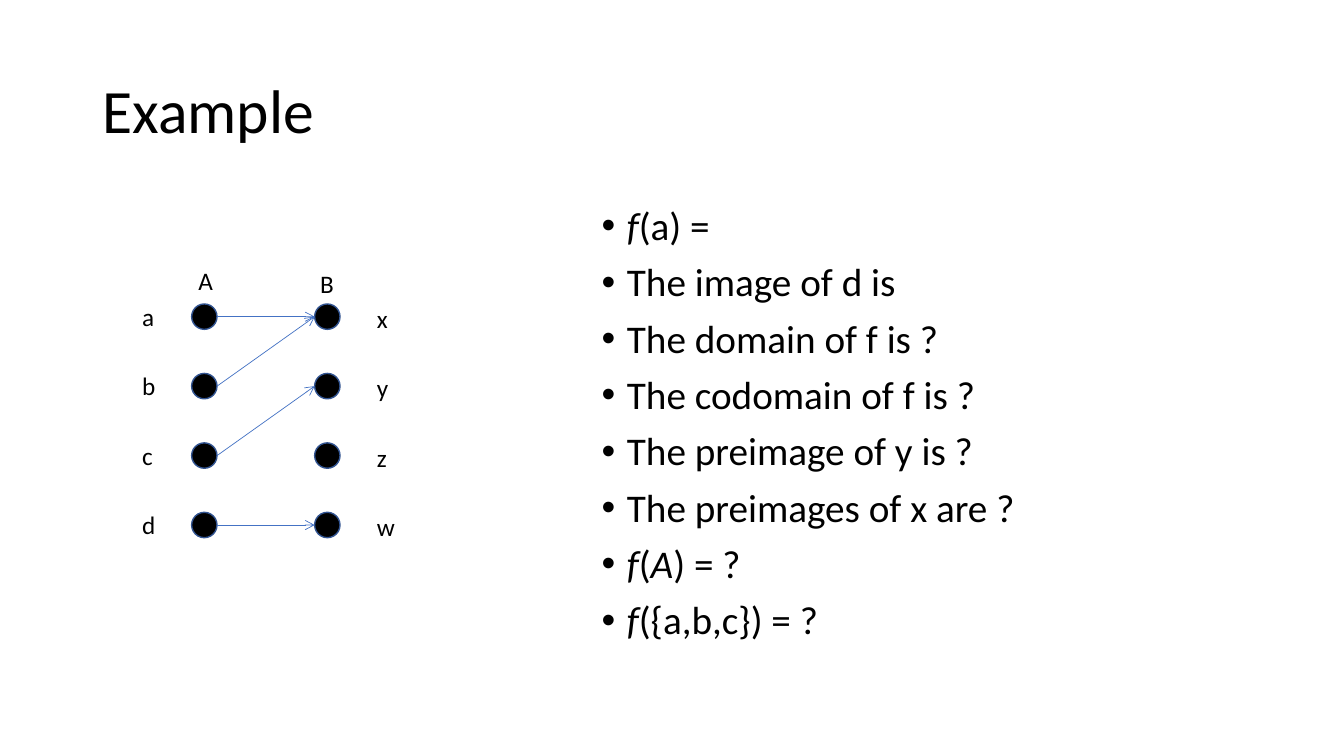
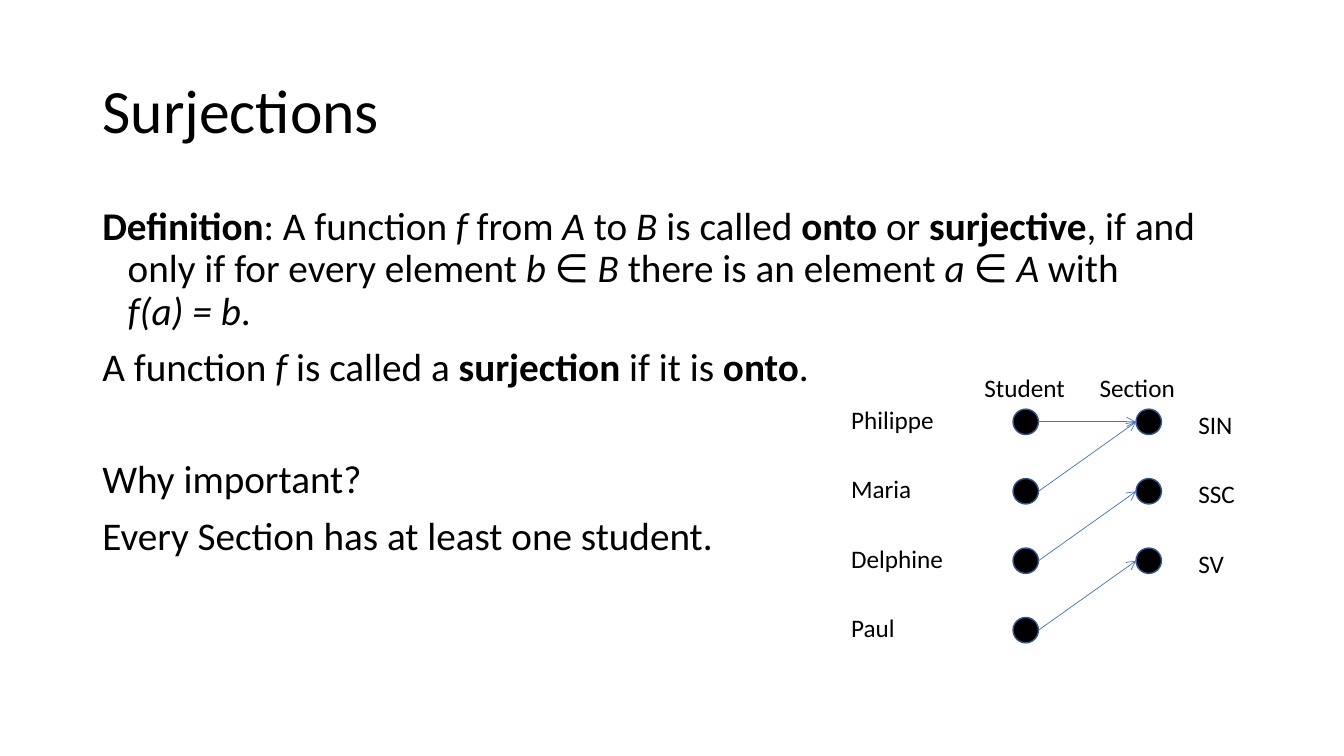
from lxml import etree
from pptx import Presentation
from pptx.dml.color import RGBColor
from pptx.enum.shapes import MSO_CONNECTOR as CONNECTOR, MSO_SHAPE as SHAPE
from pptx.enum.text import MSO_ANCHOR as ANCHOR, MSO_AUTO_SIZE as AUTO_SIZE, PP_ALIGN as ALIGN
from pptx.oxml.ns import qn
from pptx.util import Cm, Pt

BLACK = RGBColor(0x00, 0x00, 0x00)
DOT_EDGE = RGBColor(0x32, 0x54, 0x91)
ARROW_BLUE = RGBColor(0x44, 0x72, 0xC4)
FONT = "Calibri"

LEFT_MARGIN = 2.33
CONTENT_WIDTH = 29.21
INDENT = Cm(0.64)

DOT_SIZE = 0.64
ROW_STEP = 1.75
COLUMN_STEP = 3.1
LABEL_HEIGHT = 1.02
IMAGE_LABEL_WIDTH = 2.3

# Body entries are (space before in points, text): *bold*, _italic_.
# Arrows are (row of the argument, row of its image).
SLIDES = [
    {
        "title": "Example",
        "body_left": 14.91,
        "bullet": "•",
        "body": [
            (0, "_f_(a) ="),
            (10, "The image of d is"),
            (10, "The domain of f is ?"),
            (10, "The codomain of f is ?"),
            (10, "The preimage of y is ?"),
            (10, "The preimages of x are ?"),
            (10, "_f_(_A_) = ?"),
            (10, "_f_({a,b,c}) = ?"),
        ],
        "dots_left": 4.83,
        "dots_top": 7.66,
        "headers": [("A", 4.75, 6.55, 0.89), ("B", 7.82, 6.63, 0.86)],
        "arguments": ["a", "b", "c", "d"],
        "argument_left": 3.33,
        "argument_lift": 0.2,
        "images": ["x", "y", "z", "w"],
        "image_left": 9.25,
        "image_lift": 0.15,
        "arrows": [(0, 0), (1, 0), (2, 1), (3, 3)],
    },
    {
        "title": "Surjections",
        "body_left": LEFT_MARGIN,
        "bullet": None,
        "body": [
            (0, "*Definition*: A function _f_ from _A_ to _B_ is called *onto* or "
                "*surjective*, if and only if for every element _b_ ∈ _B _there is "
                "an element _a_ ∈ _A_ with \n_f(a) = b_."),
            (10, "A function _f _is called a *surjection* if it is *onto*."),
            (50, "Why important?"),
            (10, "Every Section has at least one student."),
        ],
        "dots_left": 25.53,
        "dots_top": 10.31,
        "headers": [("Student", 24.56, 9.25, 2.57), ("Section", 27.46, 9.25, 2.44)],
        "arguments": ["Philippe", "Maria", "Delphine", "Paul"],
        "argument_left": 21.2,
        "argument_lift": 0.25,
        "images": ["SIN", "SSC", "SV"],
        "image_left": 29.95,
        "image_lift": 0.13,
        "arrows": [(0, 0), (1, 0), (2, 1), (3, 2)],
    },
]


def add_spans(para, text, size):
    """Add text to a paragraph, with *bold*, _italic_ and line breaks."""
    for bold_index, bold_part in enumerate(text.split("*")):
        for italic_index, italic_part in enumerate(bold_part.split("_")):
            for line_index, line in enumerate(italic_part.split("\n")):
                if line_index:
                    para.add_line_break()
                if not line:
                    continue
                span = para.add_run()
                span.text = line
                font_format = {
                    "name": FONT,
                    "size": Pt(size),
                    "bold": bold_index % 2 == 1,
                    "italic": italic_index % 2 == 1,
                }
                for name, value in font_format.items():
                    setattr(span.font, name, value)
                span.font.color.rgb = BLACK


def add_label(page, text, left, top, width, wrap=True):
    box = page.shapes.add_textbox(Cm(left), Cm(top), Cm(width), Cm(LABEL_HEIGHT))
    box.text_frame.word_wrap = wrap
    add_spans(box.text_frame.paragraphs[0], text, 18)


deck = Presentation()
deck.slide_width = Cm(33.87)
deck.slide_height = Cm(19.05)
title_only = deck.slide_layouts[5]

for content in SLIDES:
    page = deck.slides.add_slide(title_only)

    # Title
    title = page.shapes.title
    title_place = {
        "left": Cm(LEFT_MARGIN),
        "top": Cm(1.01),
        "width": Cm(CONTENT_WIDTH),
        "height": Cm(3.68),
    }
    for name, value in title_place.items():
        setattr(title, name, value)
    title.text_frame.auto_size = AUTO_SIZE.NONE
    title.text_frame.vertical_anchor = ANCHOR.MIDDLE
    para = title.text_frame.paragraphs[0]
    para.alignment = ALIGN.LEFT
    para.line_spacing = 0.9
    add_spans(para, content["title"], 44)

    # Body text
    body_left = content["body_left"]
    body_width = LEFT_MARGIN + CONTENT_WIDTH - body_left
    box = page.shapes.add_textbox(Cm(body_left), Cm(5.08), Cm(body_width), Cm(12.09))
    frame = box.text_frame
    frame.word_wrap = True
    for index, (space_before, text) in enumerate(content["body"]):
        para = frame.add_paragraph() if index else frame.paragraphs[0]
        para.line_spacing = 0.9
        para.space_before = Pt(space_before)
        properties = para._p.get_or_add_pPr()
        properties.set("marL", str(INDENT))
        properties.set("indent", str(-INDENT))
        if content["bullet"]:
            etree.SubElement(properties, qn("a:buFont"), typeface="Arial")
            etree.SubElement(properties, qn("a:buChar"), char=content["bullet"])
        add_spans(para, text, 28)

    # Dots and labels of the two sets
    dots_left = content["dots_left"]
    dots_top = content["dots_top"]
    argument_width = dots_left - content["argument_left"]
    columns = [
        (content["arguments"], content["argument_left"], content["argument_lift"], argument_width),
        (content["images"], content["image_left"], content["image_lift"], IMAGE_LABEL_WIDTH),
    ]
    for column, (names, label_left, lift, label_width) in enumerate(columns):
        dot_left = dots_left + column * COLUMN_STEP
        for row, name in enumerate(names):
            dot_top = dots_top + row * ROW_STEP
            dot = page.shapes.add_shape(
                SHAPE.OVAL, Cm(dot_left), Cm(dot_top), Cm(DOT_SIZE), Cm(DOT_SIZE))
            dot.shadow.inherit = False
            dot.fill.solid()
            dot.fill.fore_color.rgb = BLACK
            dot.line.color.rgb = DOT_EDGE
            dot.line.width = Pt(1)
            add_label(page, name, label_left, dot_top - lift, label_width)

    for text, left, top, width in content["headers"]:
        add_label(page, text, left, top, width, wrap=False)

    # Arrows from each argument to its image
    for argument_row, image_row in content["arrows"]:
        first_center = dots_top + DOT_SIZE / 2
        arrow = page.shapes.add_connector(
            CONNECTOR.STRAIGHT,
            Cm(dots_left + DOT_SIZE), Cm(first_center + argument_row * ROW_STEP),
            Cm(dots_left + COLUMN_STEP), Cm(first_center + image_row * ROW_STEP))
        arrow.line.color.rgb = ARROW_BLUE
        arrow.line.width = Pt(0.5)
        etree.SubElement(arrow.line._get_or_add_ln(), qn("a:tailEnd"), type="arrow")
        etree.SubElement(arrow._element.spPr, qn("a:effectLst"))

deck.save("out.pptx")
